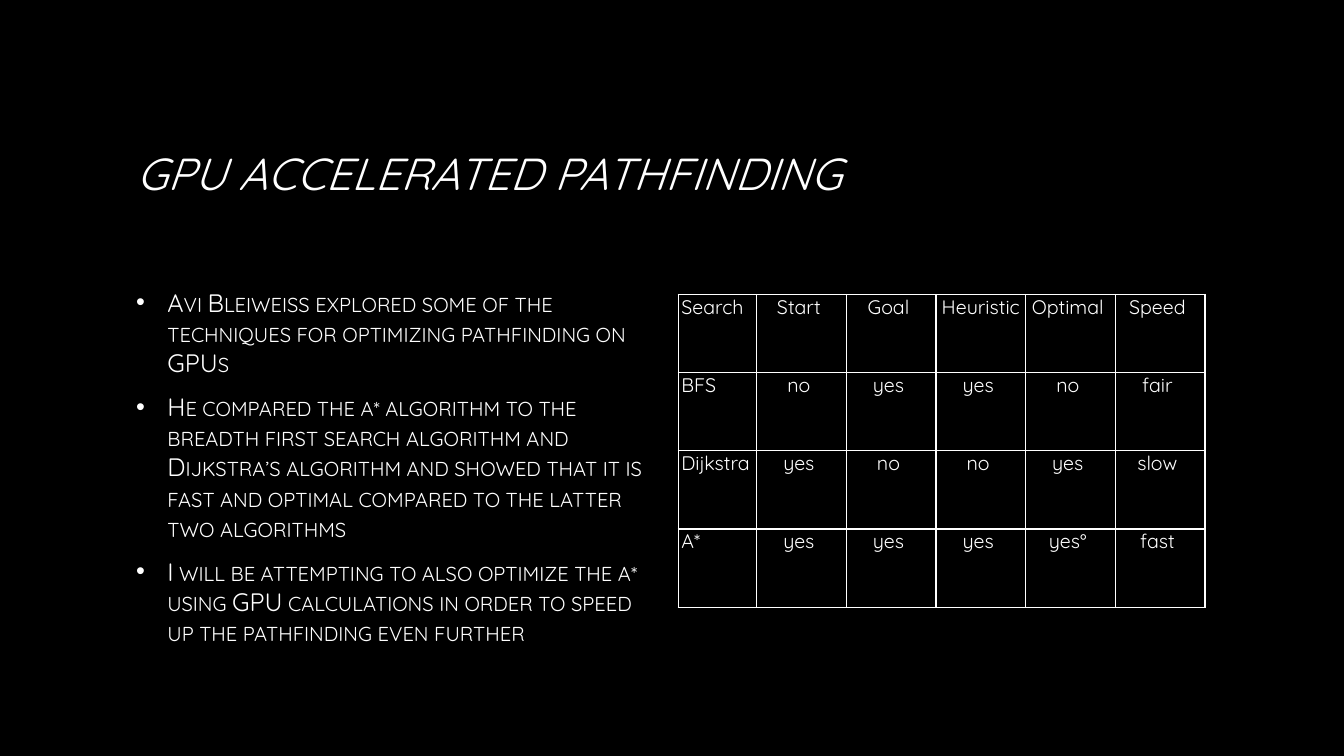
from dataclasses import dataclass

import lxml.etree
import pptx
import pptx.dml.color
import pptx.enum.text
import pptx.oxml.ns
import pptx.util
from pptx.util import Cm, Pt

ALIGN = pptx.enum.text.PP_ALIGN
MIDDLE = pptx.enum.text.MSO_ANCHOR.MIDDLE
qn = pptx.oxml.ns.qn


@dataclass(frozen=True)
class Theme:
    background: pptx.dml.color.RGBColor = pptx.dml.color.RGBColor(0, 0, 0)
    ink: pptx.dml.color.RGBColor = pptx.dml.color.RGBColor(255, 255, 255)
    font: str = "Quicksand"
    title_size: int = 32
    body_size: int = 18
    table_size: int = 14
    border_width: int = 1


@dataclass(frozen=True)
class Box:
    left: float
    top: float
    width: float
    height: float

    def lengths(self) -> tuple:
        return tuple(Cm(n) for n in (self.left, self.top, self.width, self.height))


@dataclass(frozen=True)
class SearchRow:
    """One table row: the search's name, then its properties."""
    name: str
    properties: tuple[str, ...]


THEME = Theme()
TITLE_BOX = Box(3.18, 1.7, 27.51, 5.28)
FINDINGS_BOX = Box(3.18, 7.42, 13.54, 8.69)
COMPARISON_BOX = Box(17.09, 7.42, 13.28, 7.88)
NAME_WIDTH = 1.98
BULLET_INDENT = Cm(0.79)
CELL_MARGIN = Cm(0.08)
NO_BREAK_SPACE = chr(160)

TITLE = "GPU ACCELERATED PATHFINDING"
FINDINGS = (
    "Avi Bleiweiss explored some of the techniques for optimizing pathfinding on GPUs",
    "He compared the a* algorithm to the breadth first search algorithm and Dijkstra’s "
    "algorithm and showed that it is fast and optimal compared to the latter two algorithms",
    "I will be attempting to also optimize the a* using GPU calculations in order to "
    "speed up the pathfinding even further",
)
COMPARISON = (
    SearchRow("Search", ("Start", "Goal", "Heuristic", "Optimal", "Speed")),
    SearchRow("BFS", ("no", "yes", "yes", "no", "fair")),
    SearchRow("Dijkstra", ("yes", "no", "no", "yes", "slow")),
    SearchRow("A*", ("yes", "yes", "yes", "yes°", "fast")),
)


def style(paragraph, size: int, align) -> None:
    paragraph.alignment = align
    font = paragraph.font
    font.name = THEME.font
    font.size = Pt(size)
    font.color.rgb = THEME.ink


def add_title(slide) -> None:
    title = slide.shapes.title
    title.left, title.top, title.width, title.height = TITLE_BOX.lengths()
    title.text_frame.text = TITLE
    title.text_frame.vertical_anchor = MIDDLE
    heading = title.text_frame.paragraphs[0]
    style(heading, THEME.title_size, ALIGN.LEFT)
    heading.font.italic = True


def add_bullet(paragraph) -> None:
    properties = paragraph._p.get_or_add_pPr()
    properties.set("marL", str(BULLET_INDENT))
    properties.set("indent", str(-BULLET_INDENT))
    typeface = lxml.etree.Element(qn("a:buFont"), typeface="Arial")
    bullet = lxml.etree.Element(qn("a:buChar"), char="•")
    # Bullet marks come before the default run properties
    for mark in (typeface, bullet):
        properties.find(qn("a:defRPr")).addprevious(mark)


def add_findings(slide) -> None:
    frame = slide.shapes.add_textbox(*FINDINGS_BOX.lengths()).text_frame
    frame.word_wrap = True
    frame.vertical_anchor = MIDDLE
    frame.text = "\n".join(FINDINGS)
    for finding in frame.paragraphs:
        style(finding, THEME.body_size, ALIGN.LEFT)
        finding.font._rPr.set("cap", "small")
        finding.space_before = Pt(0.2 * THEME.body_size)
        finding.space_after = Pt(6)
        add_bullet(finding)


def add_borders(cell) -> None:
    properties = cell._tc.get_or_add_tcPr()
    for position, side in enumerate(("a:lnL", "a:lnR", "a:lnT", "a:lnB")):
        line = lxml.etree.Element(qn(side), w=str(Pt(THEME.border_width)))
        fill = lxml.etree.SubElement(line, qn("a:solidFill"))
        lxml.etree.SubElement(fill, qn("a:srgbClr"), val=str(THEME.ink))
        properties.insert(position, line)


def fill_cell(cell, text: str, align) -> None:
    cell.text = text + NO_BREAK_SPACE
    cell.margin_left = cell.margin_right = CELL_MARGIN
    cell.margin_top = cell.margin_bottom = 0
    style(cell.text_frame.paragraphs[0], THEME.table_size, align)
    cell.fill.background()
    add_borders(cell)


def add_comparison(slide) -> None:
    property_count = len(COMPARISON[0].properties)
    table = slide.shapes.add_table(
        len(COMPARISON), property_count + 1, *COMPARISON_BOX.lengths()
    ).table
    property_width = (COMPARISON_BOX.width - NAME_WIDTH) / property_count
    for index, column in enumerate(table.columns):
        column.width = Cm(property_width if index else NAME_WIDTH)
    for row, search in zip(table.rows, COMPARISON):
        name_cell, *property_cells = row.cells
        fill_cell(name_cell, search.name, ALIGN.JUSTIFY)
        for cell, value in zip(property_cells, search.properties):
            fill_cell(cell, value, ALIGN.CENTER)


def main() -> None:
    deck = pptx.Presentation()
    deck.slide_width, deck.slide_height = Cm(33.87), Cm(19.05)
    slide = deck.slides.add_slide(deck.slide_layouts.get_by_name("Title Only"))
    slide.background.fill.solid()
    slide.background.fill.fore_color.rgb = THEME.background
    add_title(slide)
    add_findings(slide)
    add_comparison(slide)
    deck.save("out.pptx")


if __name__ == "__main__":
    main()
